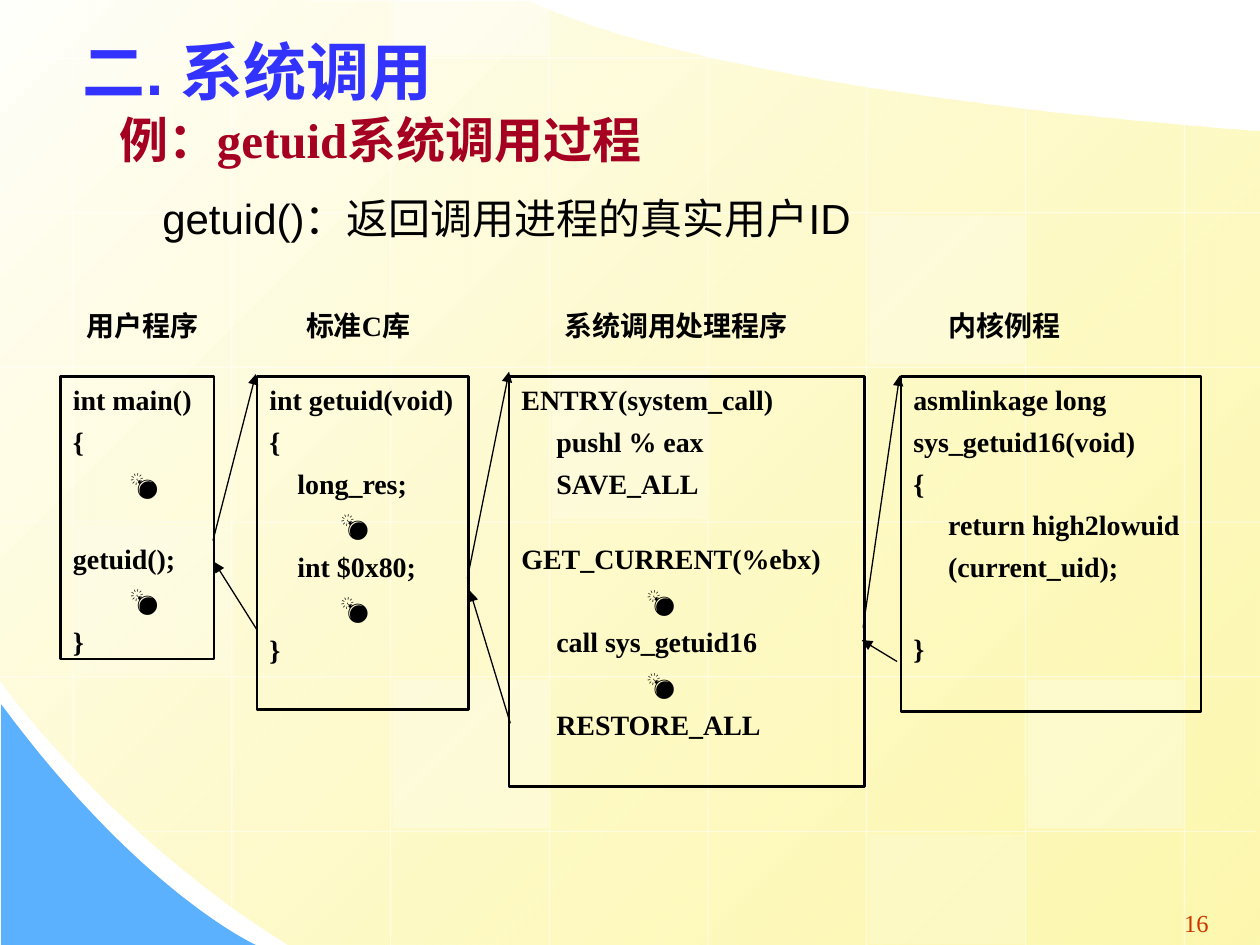
import pptx
import pptx.dml.color
import pptx.enum.shapes
import pptx.enum.text
import pptx.oxml
import pptx.oxml.ns
import pptx.util

Pt = pptx.util.Pt
RGBColor = pptx.dml.color.RGBColor
qn = pptx.oxml.ns.qn

WHITE = RGBColor(0xFF, 0xFF, 0xFF)
BLACK = RGBColor(0x00, 0x00, 0x00)
IVORY = RGBColor(0xFF, 0xFF, 0xFB)
YELLOW = RGBColor(0xFD, 0xF5, 0x8D)
SKY_BLUE = RGBColor(0x5C, 0xB1, 0xFE)
TITLE_BLUE = RGBColor(0x33, 0x33, 0xFF)
DARK_RED = RGBColor(0xA5, 0x00, 0x21)
ORANGE_RED = RGBColor(0xCC, 0x33, 0x00)
SERIF, SANS = "Times New Roman", "Arial"
BOMB = "💣"


def add_child(parent, tag, **attributes):
    child = pptx.oxml.parse_xml(f'<{tag} {pptx.oxml.ns.nsdecls("a")}/>')
    for name, value in attributes.items():
        child.set(name, str(value))
    parent.append(child)


def set_opacity(element, percent):
    """Make the last RGB colour inside the element partly transparent."""
    color = list(element.iter(qn("a:srgbClr")))[-1]
    add_child(color, "a:alpha", val=percent * 1000)


def curve(start, control_1, control_2, end, steps=32):
    """Points along a cubic curve, without its start."""
    points = []
    for step in range(1, steps + 1):
        t = step / steps
        weights = ((1 - t) ** 3, 3 * t * (1 - t) ** 2, 3 * t * t * (1 - t), t ** 3)
        corners = (start, control_1, control_2, end)
        points.append(tuple(sum(w * corner[axis] for w, corner in zip(weights, corners))
                            for axis in (0, 1)))
    return points


class SlideBuilder:
    code_size = 16
    code_gap = 4.6
    thin, thick = 0.75, 1.5

    def __init__(self, slide):
        self.shapes = slide.shapes

    def outline(self, points):
        points = [(Pt(x), Pt(y)) for x, y in points]
        builder = self.shapes.build_freeform(*points[0], scale=1.0)
        builder.add_line_segments(points[1:], close=True)
        shape = builder.convert_to_shape()
        shape.shadow.inherit = False
        shape.line.fill.background()
        return shape

    def rectangle(self, left, top, width, height):
        shape = self.shapes.add_shape(pptx.enum.shapes.MSO_SHAPE.RECTANGLE,
                                      Pt(left), Pt(top), Pt(width), Pt(height))
        shape.shadow.inherit = False
        return shape

    def tile(self, left, top, width, height, opacity):
        shape = self.rectangle(left, top, width, height)
        shape.fill.solid()
        shape.fill.fore_color.rgb = WHITE
        set_opacity(shape.element.spPr, opacity)
        shape.line.fill.background()

    def line(self, start, end, color, opacity=100, arrow=False):
        connector = self.shapes.add_connector(
            pptx.enum.shapes.MSO_CONNECTOR.STRAIGHT,
            Pt(start[0]), Pt(start[1]), Pt(end[0]), Pt(end[1]))
        connector.line.color.rgb = color
        connector.line.width = Pt(self.thin)
        properties = connector.element.spPr
        if opacity < 100:
            set_opacity(properties, opacity)
        if arrow:
            add_child(properties.find(qn("a:ln")), "a:tailEnd", type="triangle")
        add_child(properties, "a:effectLst")

    def style(self, paragraph, text, size, font, color, bold):
        paragraph.text = text
        paragraph.font.size = Pt(size)
        paragraph.font.name = font
        paragraph.font.color.rgb = color
        paragraph.font.bold = bold

    def text(self, left, top, width, height, text, size, font=SERIF, color=BLACK,
             bold=True, spacing=None, centered=False):
        box = self.shapes.add_textbox(Pt(left), Pt(top), Pt(width), Pt(height))
        box.text_frame.word_wrap = True
        paragraph = box.text_frame.paragraphs[0]
        self.style(paragraph, text, size, font, color, bold)
        paragraph.line_spacing = spacing
        if centered:
            paragraph.alignment = pptx.enum.text.PP_ALIGN.CENTER

    def code_box(self, left, top, width, height, lines, bomb_indent):
        shape = self.rectangle(left, top, width, height)
        shape.fill.background()
        shape.line.color.rgb = BLACK
        shape.line.width = Pt(self.thick)
        frame = shape.text_frame
        frame.word_wrap = True
        frame.vertical_anchor = pptx.enum.text.MSO_ANCHOR.TOP
        gap = 0
        for number, line in enumerate(lines):
            if line is None:  # one line left open
                gap += 23
                continue
            paragraph = frame.paragraphs[0] if number == 0 else frame.add_paragraph()
            if line == BOMB:
                paragraph._p.get_or_add_pPr().set("marL", str(Pt(bomb_indent)))
            self.style(paragraph, line, self.code_size,
                       SANS if line == BOMB else SERIF, BLACK, True)
            paragraph.alignment = pptx.enum.text.PP_ALIGN.LEFT
            paragraph.space_before = Pt(gap)
            gap = self.code_gap


def draw_background(builder):
    # Yellow sheet and blue corner
    sheet = builder.outline(
        [(720, 74.9), (720, 540), (165.6, 540)]
        + curve((165.6, 540), (61.9, 475.9), (-0.7, 388.1), (0, 388.1))
        + [(-0.7, -0.7), (303.1, 0.7)]
        + curve((303.1, 0.7), (303.1, 0.7), (386.6, 49.7), (720, 74.9)))
    sheet.fill.gradient()
    sheet.fill.gradient_angle = 315
    for stop, color in zip(sheet.fill.gradient_stops, (IVORY, YELLOW)):
        stop.color.rgb = color
    set_opacity(sheet.element.spPr, 70)
    corner = builder.outline(
        [(0.7, 402.5), (0.7, 540), (146.2, 540)]
        + curve((146.2, 540), (146.2, 540), (80.6, 510.5), (0.7, 402.5)))
    corner.fill.solid()
    corner.fill.fore_color.rgb = SKY_BLUE

    # Grid lines, cut off at the curved edges
    columns = [41.8 + 90.7 * index for index in range(8)]
    rows = [33.1 + 88.4 * index for index in range(6)]
    tops = [0, 0, 0, 0, 31, 49, 61.2, 70.6]
    bottoms = [438.5, 517.7, 540] + [541.4] * 5
    for x, top, bottom in zip(columns, tops, bottoms):
        builder.line((x, top), (x, bottom), WHITE, 50)
    lefts = [0] * 5 + [79.9]
    rights = [409] + [720.7] * 4 + [717.8]
    for y, left, right in zip(rows, lefts, rights):
        builder.line((right, y), (left, y), WHITE, 50)

    # Pale tiles inside the grid: column, row, opacity
    for column, row, opacity in ((3, 2, 25), (6, 4, 30), (0, 3, 20),
                                 (2, 4, 30), (5, 1, 30)):
        builder.tile(columns[column] + 1.5, rows[row] + 1.7, 88.6, 85, opacity)
    builder.tile(columns[5] + 1.5, rows[5] + 2, 88.6, 62.6, 20)
    builder.tile(columns[2] + 1.5, 0, 88.6, 31.7, 40)


def draw_call_flow(builder):
    # Column heads: left, width, text
    for left, width, head in ((42.5, 84, "用户程序"), (167.8, 84, "标准C库"),
                              (315.4, 150.5, "系统调用处理程序"), (535, 84, "内核例程")):
        builder.text(left, 172.8, width, 26.6, head, 16)

    # Code boxes: left, width, height, bomb indent, lines
    for left, width, height, bomb_indent, lines in (
        (34.6, 87.8, 161.3, 32.5,
         ["int main()", "{", BOMB, "    getuid();", BOMB, "}"]),
        (146.9, 121, 190.1, 40.5,
         ["int getuid(void)", "{", "    long_res;", BOMB, "    int $0x80;", BOMB, "}"]),
        (290.9, 203, 234, 71.5,
         ["ENTRY(system_call)", "     pushl % eax", "     SAVE_ALL",
          "     GET_CURRENT(%ebx)", BOMB, "     call sys_getuid16", BOMB,
          "     RESTORE_ALL"]),
        (514.8, 171.4, 191.5, 0,
         ["asmlinkage long", "sys_getuid16(void)", "{", "     return high2lowuid",
          "     (current_uid);", None, "}"]),
    ):
        builder.code_box(left, 215.3, width, height, lines, bomb_indent)

    # Calls to the right, then returns to the left
    for start, end in (((121.7, 308.9), (146.2, 213.8)), ((267.1, 330.5), (290.9, 212.4)),
                       ((493.2, 358.6), (514.1, 214.6)), ((146.9, 360), (122.4, 321.1)),
                       ((291.6, 413.3), (268.6, 337.7)), ((512.6, 378), (492.5, 365.8))):
        builder.line(start, end, BLACK, arrow=True)


def main():
    presentation = pptx.Presentation()
    presentation.slide_width, presentation.slide_height = Pt(720), Pt(540)
    builder = SlideBuilder(presentation.slides.add_slide(presentation.slide_layouts[6]))

    draw_background(builder)

    # Headings and page number
    builder.text(40.3, 8.6, 389.5, 45.4, "二. 系统调用", 36, SANS, TITLE_BLUE, spacing=1.15)
    builder.text(61, 54, 390.4, 46, "例：getuid系统调用过程", 28, color=DARK_RED, spacing=1.15)
    builder.text(85.7, 102.2, 516.2, 40.3, "getuid()：返回调用进程的真实用户ID", 24, SANS,
                 bold=False, spacing=1.15)
    builder.text(668.9, 512.6, 29.5, 26.6, "16", 14, color=ORANGE_RED, bold=False,
                 spacing=1.15, centered=True)

    draw_call_flow(builder)
    presentation.save("out.pptx")


if __name__ == "__main__":
    main()
